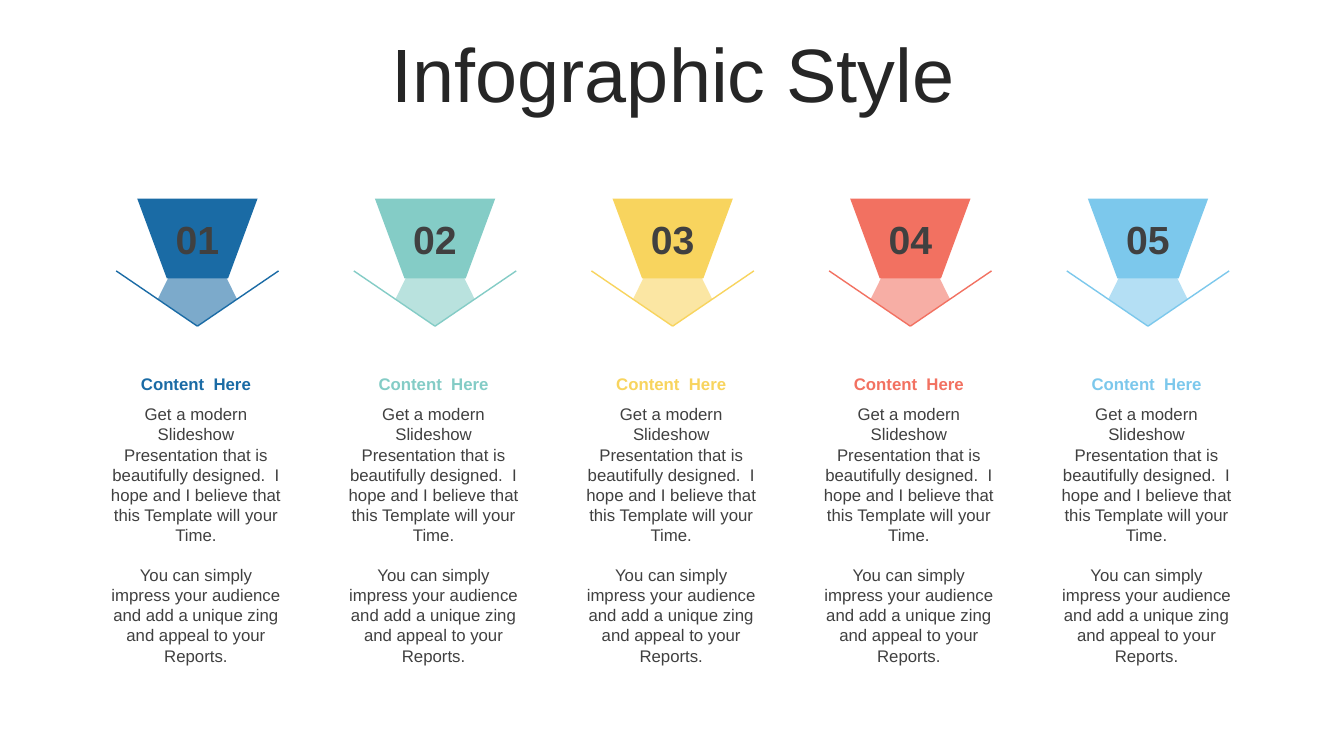
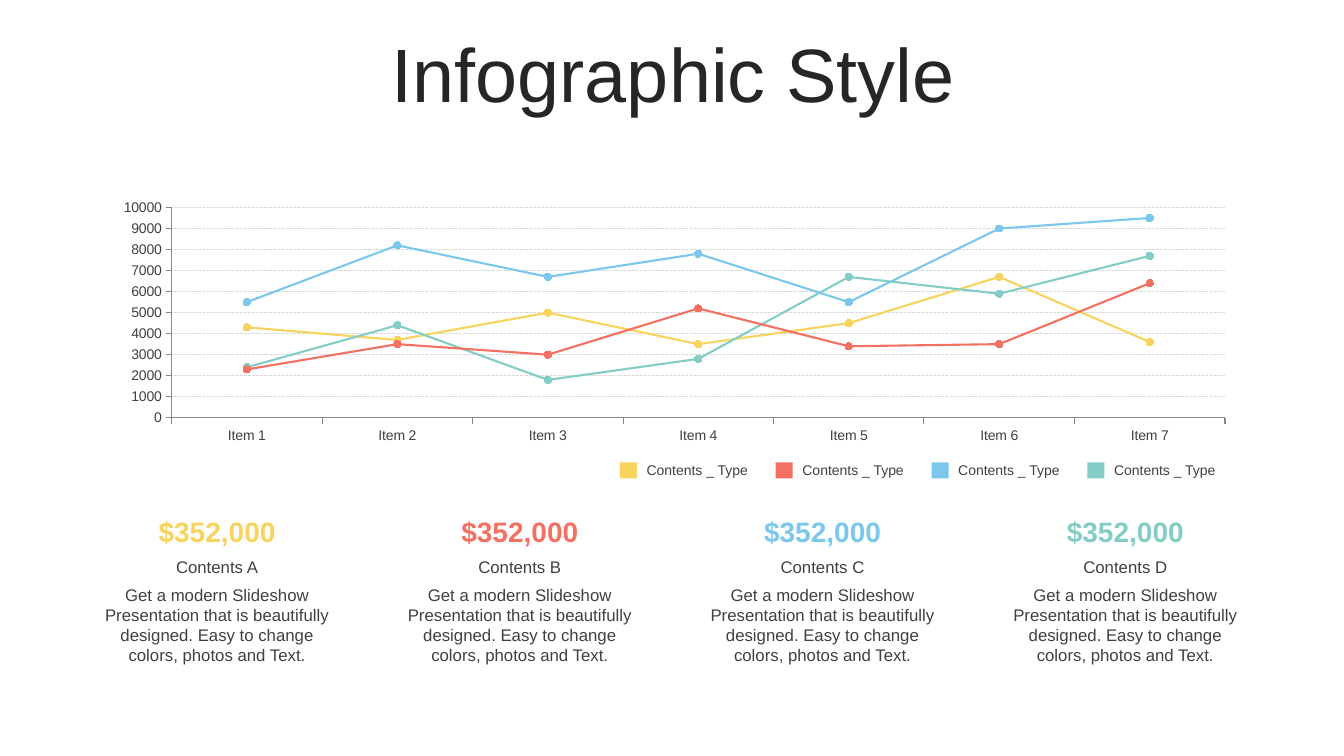
from dataclasses import dataclass

from lxml import etree
from pptx import Presentation
from pptx.chart.data import CategoryChartData
from pptx.dml.color import RGBColor
from pptx.enum.chart import XL_CHART_TYPE, XL_MARKER_STYLE, XL_TICK_MARK
from pptx.enum.dml import MSO_LINE
from pptx.enum.shapes import MSO_CONNECTOR, MSO_SHAPE
from pptx.enum.text import MSO_ANCHOR, MSO_AUTO_SIZE, PP_ALIGN
from pptx.oxml.ns import qn
from pptx.util import Pt

LINE_MARKERS = XL_CHART_TYPE.LINE_MARKERS
CIRCLE = XL_MARKER_STYLE.CIRCLE
TICK_OUTSIDE, TICK_NONE = XL_TICK_MARK.OUTSIDE, XL_TICK_MARK.NONE
SHORT_DASH = MSO_LINE.SQUARE_DOT
STRAIGHT = MSO_CONNECTOR.STRAIGHT
TRAPEZOID, RECTANGLE = MSO_SHAPE.TRAPEZOID, MSO_SHAPE.RECTANGLE
TOP, MIDDLE = MSO_ANCHOR.TOP, MSO_ANCHOR.MIDDLE
LEFT, CENTER = PP_ALIGN.LEFT, PP_ALIGN.CENTER
NO_AUTOFIT = MSO_AUTO_SIZE.NONE

FONT = "Arial"
COLORS = {
    "title": "262626",
    "text": "404040",
    "axis": "868686",
    "grid": "D9D9D9",
    "blue": "1A6BA5",
    "teal": "84CCC6",
    "yellow": "F8D45E",
    "coral": "F27161",
    "sky": "7CC8EC",
}
TITLE_ONLY = 5
TITLE = "Infographic Style"

STEP_COLORS = ["blue", "teal", "yellow", "coral", "sky"]
STEP_CENTER, STEP_PITCH, STEP_WIDTH = 140, 169.75, 139
STEP_TEXT = [
    "Get a modern Slideshow Presentation that is beautifully designed.  "
    "I hope and I believe that this Template will your Time.",
    "You can simply impress your audience and add a unique zing "
    "and appeal to your Reports.",
]

FIGURE_LEFT, FIGURE_PITCH, FIGURE_WIDTH = 62.6, 216.25, 185
FIGURE_TEXT = ("Get a modern Slideshow Presentation that is beautifully "
               "designed. Easy to change colors, photos and Text.")
LEGEND_LEFT, LEGEND_PITCH = 442.8, 111.3


@dataclass
class Area:
    left: float
    top: float
    width: float
    height: float

    def lengths(self) -> list:
        return [Pt(value) for value in
                (self.left, self.top, self.width, self.height)]


@dataclass
class TextStyle:
    size: float = 12
    color: str = "text"
    bold: bool = False
    align: PP_ALIGN = CENTER
    anchor: MSO_ANCHOR = MIDDLE
    gap: float = 0


@dataclass
class Figure:
    label: str
    color: str


@dataclass
class Series:
    name: str
    color: str
    values: list[int]


FIGURES = [
    Figure("Contents A", "yellow"),
    Figure("Contents B", "coral"),
    Figure("Contents C", "sky"),
    Figure("Contents D", "teal"),
]
SERIES = [
    Series("Series 1", "yellow", [4300, 3700, 5000, 3500, 4500, 6700, 3600]),
    Series("Series 2", "teal", [2400, 4400, 1800, 2800, 6700, 5900, 7700]),
    Series("Series 3", "coral", [2300, 3500, 3000, 5200, 3400, 3500, 6400]),
    Series("Series 4", "sky", [5500, 8200, 6700, 7800, 5500, 9000, 9500]),
]


def rgb(name: str) -> RGBColor:
    return RGBColor.from_string(COLORS[name])


def style_font(font, size: float, color: str, bold: bool = False) -> None:
    font.name = FONT
    font.size = Pt(size)
    font.bold = bold
    font.color.rgb = rgb(color)


def fill_shape(shape, color: str) -> None:
    """Give a shape a flat fill with neither outline nor shadow."""
    shape.shadow.inherit = False
    shape.fill.solid()
    shape.fill.fore_color.rgb = rgb(color)
    shape.line.fill.background()


def write_text(shape, lines: list[str], style: TextStyle) -> None:
    frame = shape.text_frame
    frame.word_wrap = True
    frame.auto_size = NO_AUTOFIT
    frame.vertical_anchor = style.anchor
    frame.text = "\n".join(lines)
    for index, para in enumerate(frame.paragraphs):
        para.alignment = style.align
        para.space_before = Pt(style.gap if index else 0)
        for span in para.runs:
            style_font(span.font, style.size, style.color, style.bold)


def add_text(page, area: Area, lines: list[str], style: TextStyle) -> None:
    write_text(page.shapes.add_textbox(*area.lengths()), lines, style)


def add_page(deck):
    """Add a slide with the shared title."""
    page = deck.slides.add_slide(deck.slide_layouts[TITLE_ONLY])
    title = page.shapes.title
    title.left, title.top, title.width, title.height = Area(
        25, 27, 912, 57).lengths()
    write_text(title, [TITLE], TextStyle(54, "title"))
    title.text_frame.paragraphs[0].line_spacing = 0.9
    return page


def add_line(page, start: tuple, end: tuple, color: str) -> None:
    line = page.shapes.add_connector(
        STRAIGHT, *[Pt(value) for value in start + end])
    line.line.color.rgb = rgb(color)
    line.line.width = Pt(1)
    etree.SubElement(line._element.spPr, qn("a:effectLst"))


def add_emblem(page, center: float, number: str, color: str) -> None:
    """Draw a numbered funnel above a translucent tip with two wings."""
    funnel = page.shapes.add_shape(
        TRAPEZOID, *Area(center - 43, 141.8, 86, 57).lengths())
    funnel.rotation = 180
    funnel.adjustments[0] = 0.37
    fill_shape(funnel, color)

    builder = page.shapes.build_freeform(Pt(center), Pt(156.2))
    corners = [(28.2, 213.5), (0, 232.8), (-28.2, 213.5)]
    builder.add_line_segments(
        [(Pt(center + shift), Pt(height)) for shift, height in corners])
    tip = builder.convert_to_shape()
    fill_shape(tip, color)
    for fill_color in tip._element.spPr.iter(qn("a:srgbClr")):
        etree.SubElement(fill_color, qn("a:alpha"), val="57000")

    for wing in (58, -58):
        add_line(page, (center, 233), (center + wing, 193.5), color)
    add_text(page, Area(center - 27.5, 150, 55, 41), [number],
             TextStyle(28, bold=True))


def add_steps_page(deck) -> None:
    page = add_page(deck)
    for index, color in enumerate(STEP_COLORS):
        center = STEP_CENTER + index * STEP_PITCH
        left = center - STEP_WIDTH / 2
        add_emblem(page, center + 1, f"{index + 1:02}", color)
        add_text(page, Area(left, 263, STEP_WIDTH, 22), ["Content  Here"],
                 TextStyle(color=color, bold=True))
        add_text(page, Area(left, 285, STEP_WIDTH, 197), STEP_TEXT,
                 TextStyle(anchor=TOP, gap=14))


def style_axis(axis) -> None:
    axis.major_tick_mark = TICK_OUTSIDE
    axis.minor_tick_mark = TICK_NONE
    axis.format.line.color.rgb = rgb("axis")
    axis.format.line.width = Pt(0.75)
    style_font(axis.tick_labels.font, 10, "text")


def add_line_chart(page) -> None:
    data = CategoryChartData()
    data.categories = [f"Item {number}" for number in range(1, 8)]
    for series in SERIES:
        data.add_series(series.name, series.values)
    chart = page.shapes.add_chart(
        LINE_MARKERS, *Area(72, 139, 819.4, 181.4).lengths(), data).chart
    chart.has_legend = False
    chart.has_title = False
    style_font(chart.font, 10, "text")
    chart.plots[0].vary_by_categories = False

    style_axis(chart.category_axis)
    axis = chart.value_axis
    style_axis(axis)
    axis.minimum_scale, axis.maximum_scale, axis.major_unit = 0, 10000, 1000
    axis.has_major_gridlines = True
    grid = axis.major_gridlines.format.line
    grid.color.rgb = rgb("grid")
    grid.width = Pt(0.75)
    grid.dash_style = SHORT_DASH

    for series, drawn in zip(SERIES, chart.plots[0].series):
        drawn.smooth = False
        drawn.format.line.color.rgb = rgb(series.color)
        drawn.format.line.width = Pt(1.5)
        drawn.marker.style = CIRCLE
        drawn.marker.size = 5
        drawn.marker.format.fill.solid()
        drawn.marker.format.fill.fore_color.rgb = rgb(series.color)
        drawn.marker.format.line.color.rgb = rgb(series.color)


def add_legend_entry(page, left: float, color: str) -> None:
    swatch = page.shapes.add_shape(
        RECTANGLE, *Area(left, 330.3, 12.2, 11.5).lengths())
    fill_shape(swatch, color)
    add_text(page, Area(left + 12, 326, 103, 19.4), ["Contents _ Type"],
             TextStyle(10, align=LEFT))


def add_figures_page(deck) -> None:
    page = add_page(deck)
    add_line_chart(page)
    for index, figure in enumerate(FIGURES):
        add_legend_entry(page, LEGEND_LEFT + index * LEGEND_PITCH,
                         figure.color)
        left = FIGURE_LEFT + index * FIGURE_PITCH
        add_text(page, Area(left, 363.6, FIGURE_WIDTH, 31.6), ["$352,000"],
                 TextStyle(20, figure.color, bold=True))
        add_text(page, Area(left, 393.8, FIGURE_WIDTH, 21.8), [figure.label],
                 TextStyle())
        add_text(page, Area(left, 414, FIGURE_WIDTH, 65.5), [FIGURE_TEXT],
                 TextStyle(anchor=TOP))


def main() -> None:
    deck = Presentation()
    deck.slide_width, deck.slide_height = Pt(960), Pt(540)
    add_steps_page(deck)
    add_figures_page(deck)
    deck.save("out.pptx")


if __name__ == "__main__":
    main()
